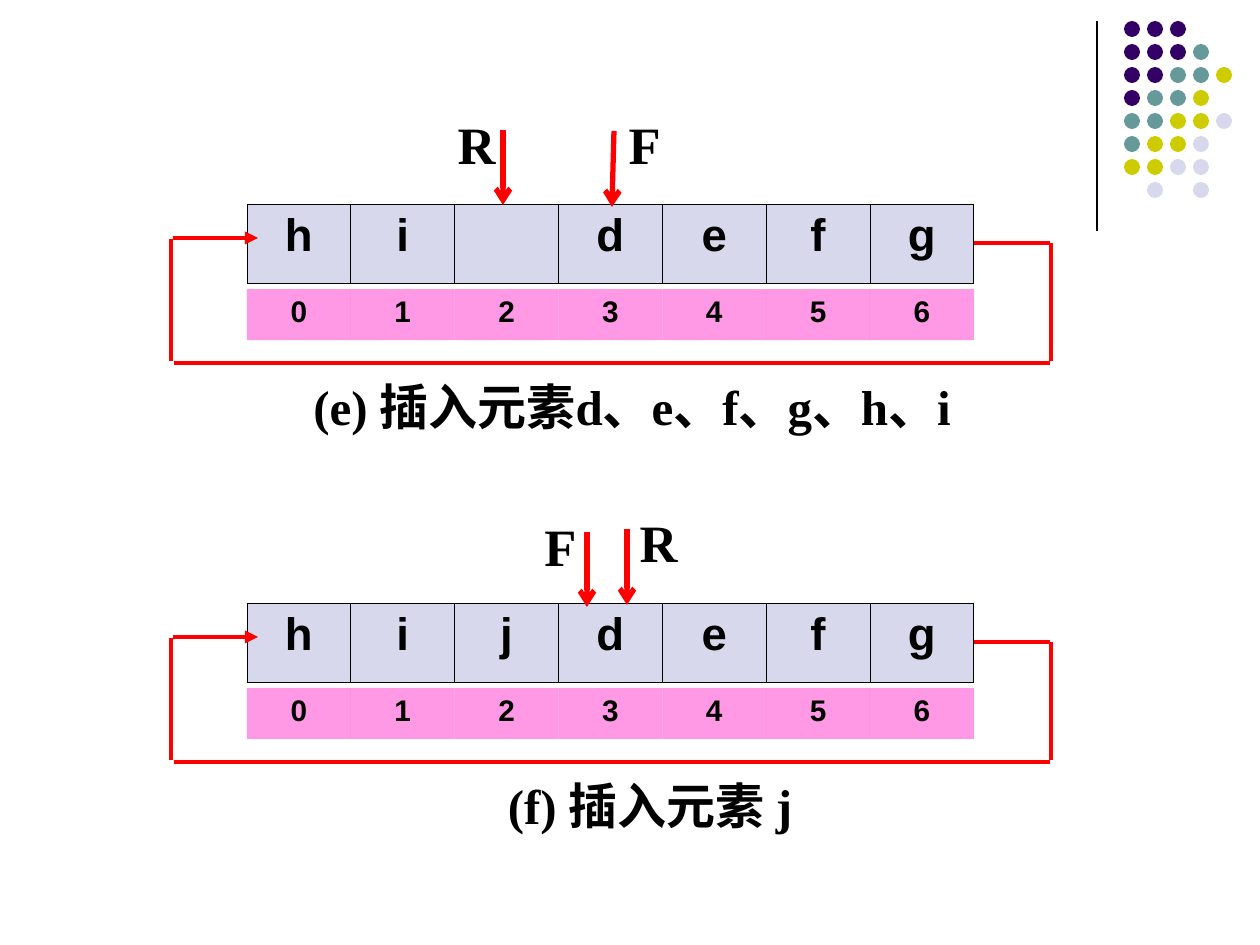
from pptx import Presentation, util as u
from pptx.dml.color import RGBColor
from pptx.enum import shapes, text
from pptx.oxml import parse_xml
from pptx.oxml.ns import nsdecls, qn

PX = 7257  # EMU in one px, 126 px to the inch
THEME = {
    "ink": "000000", "red": "FF0000", "cell": "D8D8EC", "index": "FF33CC",
    "dots": {"P": "330066", "T": "669999", "Y": "CCCC00", "L": "D8D8EC"},
    "sans": "Arial", "serif": "Times New Roman", "han": "Noto Sans CJK SC",
    "item": 26, "digit": 17, "label": 30, "note": 28,
}
INK = RGBColor.from_string(THEME["ink"])
NO_GRID = "{2D5ABB26-0587-4C30-8999-92F81FD0307C}"


def put(frame, words, size, font, lead=None):
    """Write centred bold text; words is a string or a list of (text, font)."""
    para = frame.paragraphs[0]
    para.alignment = text.PP_ALIGN.CENTER
    if lead:
        para.line_spacing = u.Pt(lead)
    for part, face in [(words, font)] if isinstance(words, str) else words:
        run = para.add_run()
        run.text = part
        run.font.name, run.font.size, run.font.bold = face, u.Pt(size), True
        run.font.color.rgb = INK
        ea = parse_xml(f'<a:ea {nsdecls("a")} typeface="{THEME["han"]}"/>')
        run.font._element.find(qn("a:latin")).addnext(ea)


def draw(ends, color, width, head=None):
    """Draw a straight line, with an arrowhead at its end if one is named."""
    line = slide.shapes.add_connector(
        shapes.MSO_CONNECTOR.STRAIGHT, *[n * PX for n in ends])
    line.line.color.rgb = RGBColor.from_string(color)
    line.line.width = u.Pt(width)
    if head:
        line.line._get_or_add_ln().append(
            parse_xml(f'<a:tailEnd {nsdecls("a")} type="{head}"/>'))
    line._element.spPr.append(parse_xml(f'<a:effectLst {nsdecls("a")}/>'))


deck = Presentation()
deck.slide_width, deck.slide_height = u.Inches(10), u.Inches(7.5)
slide = deck.slides.add_slide(deck.slide_layouts[6])

# Corner ornament: a rule and a grid of dots
draw((1097, 21, 1097, 231), THEME["ink"], 0.75)
grid = ["PPP", "PPPT", "PPTTY", "PTTY", "TTYYL", "TYYL", "YYLL", " L L"]
for r, row in enumerate(grid):
    for c, key in enumerate(row):
        if key == " ":
            continue
        dot = slide.shapes.add_shape(
            shapes.MSO_SHAPE.OVAL, (1124 + 23 * c) * PX, (21 + 23 * r) * PX,
            16 * PX, 16 * PX)
        dot.shadow.inherit = False
        dot.fill.solid()
        dot.fill.fore_color.rgb = RGBColor.from_string(THEME["dots"][key])
        dot.line.fill.background()

# Two states of the queue: offset, items, pointers (name, label x, y, arrow),
# caption x and width, caption
serif, han = THEME["serif"], THEME["han"]
states = [
    (0, "hi defg",
     [("R", 449, 117, (503, 130, 503, 205)),
      ("F", 617, 117, (614, 131, 612, 207))],
     295, 674, [("(e) ", serif), ("插入元素", han), ("d、e、f、g、h、i", serif)]),
    (399, "hijdefg",
     [("F", 533, 120, (587, 133, 587, 208)),
      ("R", 631, 116, (627, 130, 627, 206))],
     386, 528, [("(f) ", serif), ("插入元素 ", han), ("j", serif)]),
]
ring = [
    (974, 243, 1050, 243), (1051, 243, 1051, 361), (1050, 363, 174, 363),
    (171, 361, 171, 239), (173, 238, 258, 238),
]

for dy, items, marks, left, wide, note in states:
    # Item row and index row
    rows = [(204, 79, items, THEME["item"], "cell"),
            (289, 51, "0123456", THEME["digit"], "index")]
    for top, high, row, size, kind in rows:
        frame = slide.shapes.add_table(
            1, len(row), 247 * PX, (top + dy) * PX, 727 * PX, high * PX)
        table = frame.table
        table.first_row = table.horz_banding = False
        table._tbl.tblPr.find(qn("a:tableStyleId")).text = NO_GRID
        for c, word in enumerate(row):
            cell = table.cell(0, c)
            if word != " ":
                put(cell.text_frame, word, size, THEME["sans"])
            prop = cell._tc.get_or_add_tcPr()
            if kind == "cell":
                for side in "LRTB":
                    prop.append(parse_xml(
                        f'<a:ln{side} {nsdecls("a")} w="5715"><a:solidFill>'
                        f'<a:srgbClr val="{THEME["ink"]}"/></a:solidFill>'
                        f'</a:ln{side}>'))
            cell.fill.solid()
            cell.fill.fore_color.rgb = RGBColor.from_string(THEME[kind])
            if kind == "index":
                prop.find(".//" + qn("a:srgbClr")).append(
                    parse_xml(f'<a:alpha {nsdecls("a")} val="50000"/>'))

    # Front and rear pointers, then the wrap-around path
    for _, _, _, (x1, y1, x2, y2) in marks:
        draw((x1, y1 + dy, x2, y2 + dy), THEME["red"], 3, "arrow")
    for x1, y1, x2, y2 in ring:
        head = "triangle" if x2 == 258 else None
        draw((x1, y1 + dy, x2, y2 + dy), THEME["red"], 2.5, head)

    # Pointer names and caption
    notes = [(x, y, 55, 60, name, THEME["label"]) for name, x, y, _ in marks]
    notes.append((left, 378, wide, 66, note, THEME["note"]))
    for x, y, w, h, words, size in notes:
        box = slide.shapes.add_textbox(x * PX, (y + dy) * PX, w * PX, h * PX)
        frame = box.text_frame
        frame.word_wrap = True
        frame.margin_left = frame.margin_right = 0
        frame.margin_top = frame.margin_bottom = 0
        put(frame, words, size, serif, lead=33)

deck.save("out.pptx")
